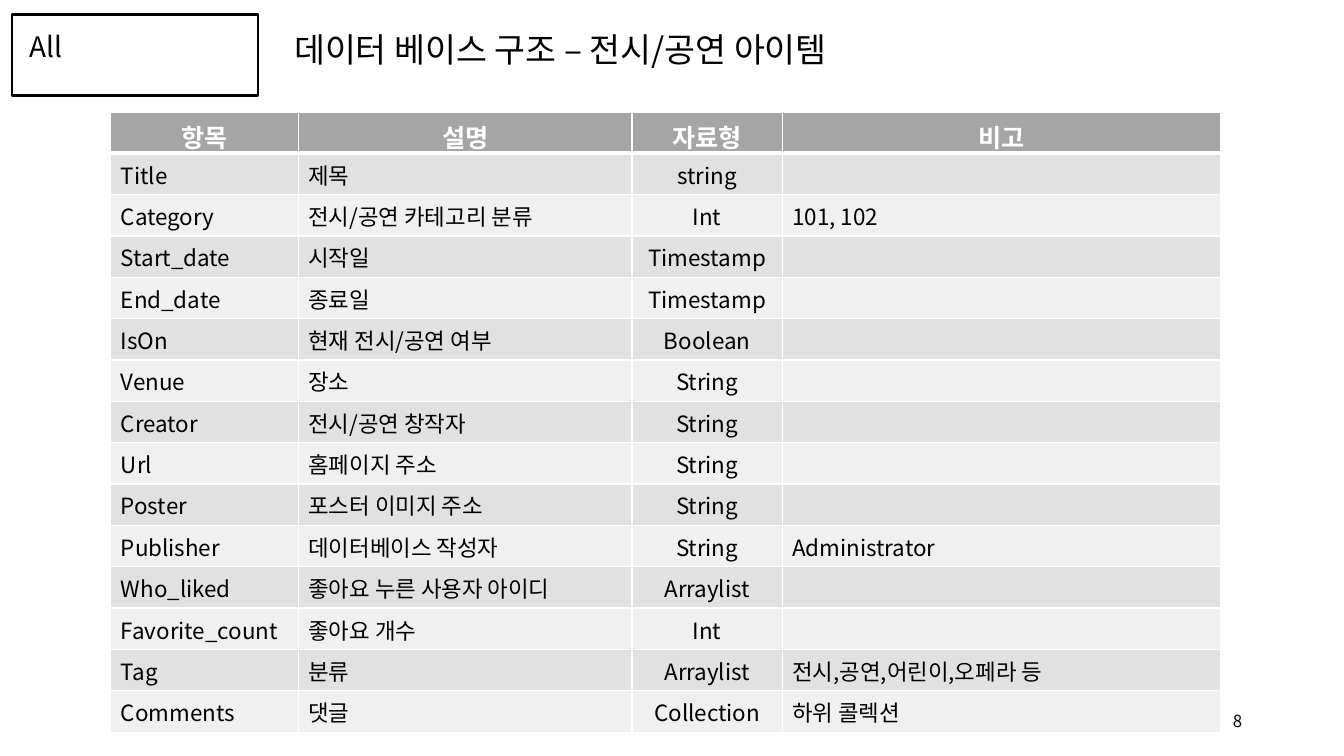
from lxml.etree import SubElement
from pptx import Presentation
from pptx.dml.color import RGBColor
from pptx.enum.shapes import MSO_SHAPE
from pptx.enum.text import MSO_ANCHOR, PP_ALIGN
from pptx.oxml import parse_xml
from pptx.oxml.ns import nsdecls, qn
from pptx.util import Inches, Pt

WIDE, HIGH = Inches(13.33), Inches(7.5)
FACE = "Noto Sans CJK KR"
COLS = [13.95, 24.83, 11.18, 32.63]
HEAD, BODY = 2.4, 5.47
ROWS = [
    ("항목", "설명", "자료형", "비고"),
    ("Title", "제목", "string", ""),
    ("Category", "전시/공연 카테고리 분류", "Int", "101, 102"),
    ("Start_date", "시작일", "Timestamp", ""),
    ("End_date", "종료일", "Timestamp", ""),
    ("IsOn", "현재 전시/공연 여부", "Boolean", ""),
    ("Venue", "장소", "String", ""),
    ("Creator", "전시/공연 창작자", "String", ""),
    ("Url", "홈페이지 주소", "String", ""),
    ("Poster", "포스터 이미지 주소", "String", ""),
    ("Publisher", "데이터베이스 작성자", "String", "Administrator"),
    ("Who_liked", "좋아요 누른 사용자 아이디", "Arraylist", ""),
    ("Favorite_count", "좋아요 개수", "Int", ""),
    ("Tag", "분류", "Arraylist", "전시,공연,어린이,오페라 등"),
    ("Comments", "댓글", "Collection", "하위 콜렉션"),
]


def color(code):
    return RGBColor.from_string(code)


def across(share):
    return int(WIDE * share / 100)


def down(share):
    return int(HIGH * share / 100)


def place(x, y, w, h):
    return across(x), down(y), across(w), down(h)


def write(frame, text, size=16, ink="000000", bold=False, align=PP_ALIGN.LEFT):
    para = frame.paragraphs[0]
    para.alignment = align
    run = para.add_run()
    run.text = text
    run.font.size = Pt(size)
    run.font.bold = bold
    run.font.color.rgb = color(ink)
    run.font.name = FACE
    SubElement(run.font._element, qn("a:ea")).set("typeface", FACE)
    return run


def label(shapes, spot, text, anchor=MSO_ANCHOR.TOP, **style):
    frame = shapes.add_textbox(*place(*spot)).text_frame
    frame.word_wrap = True
    frame.vertical_anchor = anchor
    return write(frame, text, **style)


def outline(run):
    run.font._element.insert(0, parse_xml(
        f'<a:ln {nsdecls("a")} w="9525"><a:solidFill><a:srgbClr val="000000">'
        '<a:alpha val="30000"/></a:srgbClr></a:solidFill></a:ln>'))


def border(cell, base):
    props = cell._tc.get_or_add_tcPr()
    for spot, (side, width) in enumerate(zip("LRTB", (1, 1, 1, base))):
        props.insert(spot, parse_xml(
            f'<a:ln{side} {nsdecls("a")} w="{Pt(width)}"><a:solidFill>'
            f'<a:srgbClr val="FFFFFF"/></a:solidFill></a:ln{side}>'))


def badge(slide):
    group = slide.shapes.add_group_shape()
    label(group.shapes, (1.43, 3.2, 17.33, 5.87), "All", size=20)
    box = group.shapes.add_shape(MSO_SHAPE.RECTANGLE, *place(0.9, 1.87, 18.3, 10.8))
    box.shadow.inherit = False
    box.fill.background()
    box.line.color.rgb = color("000000")
    box.line.width = Pt(2)


def grid(slide):
    frame = slide.shapes.add_table(
        len(ROWS), len(COLS), *place(8.25, 14.93, sum(COLS), 81.07))
    table = frame.table
    for col, share in zip(table.columns, COLS):
        col.width = across(share)
    for r, texts in enumerate(ROWS):
        table.rows[r].height = down(BODY if r else HEAD)
        for c, text in enumerate(texts):
            cell = table.cell(r, c)
            cell.fill.solid()
            shade = "A5A5A5" if r == 0 else "E1E1E1" if r % 2 else "F0F0F0"
            cell.fill.fore_color.rgb = color(shade)
            border(cell, 1 if r else 3)
            if r == 0:
                write(cell.text_frame, text, size=18, ink="FFFFFF", bold=True,
                      align=PP_ALIGN.CENTER)
            elif text:
                write(cell.text_frame, text,
                      align=PP_ALIGN.CENTER if c == 2 else PP_ALIGN.LEFT)
    frame.height = down(81.07)


def main():
    deck = Presentation()
    deck.slide_width, deck.slide_height = WIDE, HIGH
    slide = deck.slides.add_slide(deck.slide_layouts[6])
    badge(slide)
    outline(label(slide.shapes, (21.15, 3.2, 54.9, 6.67),
                  "데이터 베이스 구조 – 전시/공연 아이템", size=24))
    grid(slide)
    label(slide.shapes, (70.67, 92.67, 22.5, 5.33), "8", size=12,
          anchor=MSO_ANCHOR.MIDDLE, align=PP_ALIGN.RIGHT)
    deck.save("out.pptx")


if __name__ == "__main__":
    main()
